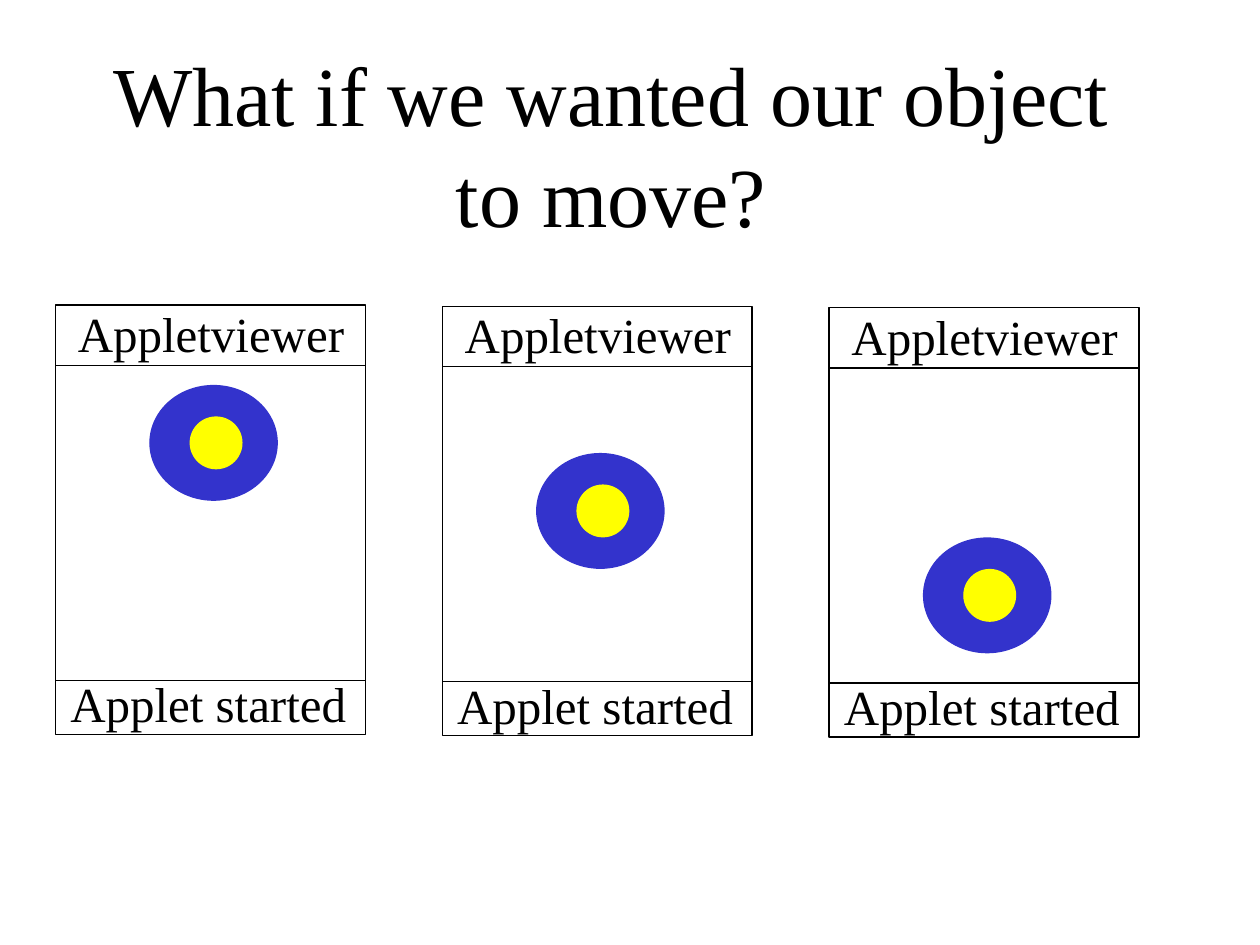
from pptx import Presentation
from pptx.dml.color import RGBColor
from pptx.enum.shapes import MSO_CONNECTOR, MSO_SHAPE
from pptx.enum.text import MSO_AUTO_SIZE, PP_ALIGN
from pptx.oxml.ns import qn
from pptx.util import Inches, Pt

RECT, OVAL = MSO_SHAPE.RECTANGLE, MSO_SHAPE.OVAL
STRAIGHT = MSO_CONNECTOR.STRAIGHT
FIT = MSO_AUTO_SIZE.SHAPE_TO_FIT_TEXT
LEFT, CENTER = PP_ALIGN.LEFT, PP_ALIGN.CENTER
FONT = "Times New Roman"
COLORS = {"ink": "000000", "paper": "FFFFFF", "ring": "3333CC", "core": "FFFF00"}

prs = Presentation()
prs.slide_width, prs.slide_height = Inches(10), Inches(7.5)
s = prs.slides.add_slide(prs.slide_layouts[6])


def add_text(lines, x, y, w, h, size, align=LEFT):
    tf = s.shapes.add_textbox(Inches(x), Inches(y), Inches(w), Inches(h)).text_frame
    tf.word_wrap = False
    tf.auto_size = FIT
    for i, line in enumerate(lines):
        p = tf.add_paragraph() if i else tf.paragraphs[0]
        p.alignment = align
        r = p.add_run()
        r.text = line
        r.font.name, r.font.size = FONT, Pt(size)
        r.font.color.rgb = RGBColor.from_string(COLORS["ink"])


def add_filled(kind, x, y, w, h, fill, line):
    sp = s.shapes.add_shape(kind, Inches(x), Inches(y), Inches(w), Inches(h))
    sp.shadow.inherit = False
    sp.fill.solid()
    sp.fill.fore_color.rgb = RGBColor.from_string(COLORS[fill])
    sp.line.color.rgb = RGBColor.from_string(COLORS[line])
    sp.line.width = Pt(0.75)


add_text(["What if we wanted our object", "to move?"], 0.75, 0.29, 8.2, 1.7, 48, CENTER)

# Three viewer windows, each a little lower, with the target moving down
LEFT_EDGE, TOP_EDGE = 0.44, 2.42
PITCH, STEP = 3.07, 0.01
WINDOW_W, WINDOW_H = 2.46, 3.41

for i, target_y in enumerate([3.06, 3.6, 4.27]):
    x, y = LEFT_EDGE + i * PITCH, TOP_EDGE + i * STEP
    add_filled(RECT, x, y, WINDOW_W, WINDOW_H, "paper", "ink")
    add_text(["Appletviewer"], x + 0.08, y - 0.06, 2.4, 0.57, 28)
    for line_y in (y + 0.48, y + 2.98):
        c = s.shapes.add_connector(STRAIGHT, Inches(x), Inches(line_y),
                                   Inches(x + WINDOW_W), Inches(line_y))
        c.line.color.rgb = RGBColor.from_string(COLORS["ink"])
        c.line.width = Pt(0.75)
        c._element.spPr.append(c._element.makeelement(qn("a:effectLst"), {}))
    add_text(["Applet started"], x + 0.02, y + 2.88, 2.4, 0.57, 28)
    add_filled(OVAL, x + 0.75, target_y, 1.01, 0.91, "ring", "ring")
    add_filled(OVAL, x + 1.07, target_y + 0.25, 0.41, 0.41, "core", "core")

prs.save("out.pptx")
